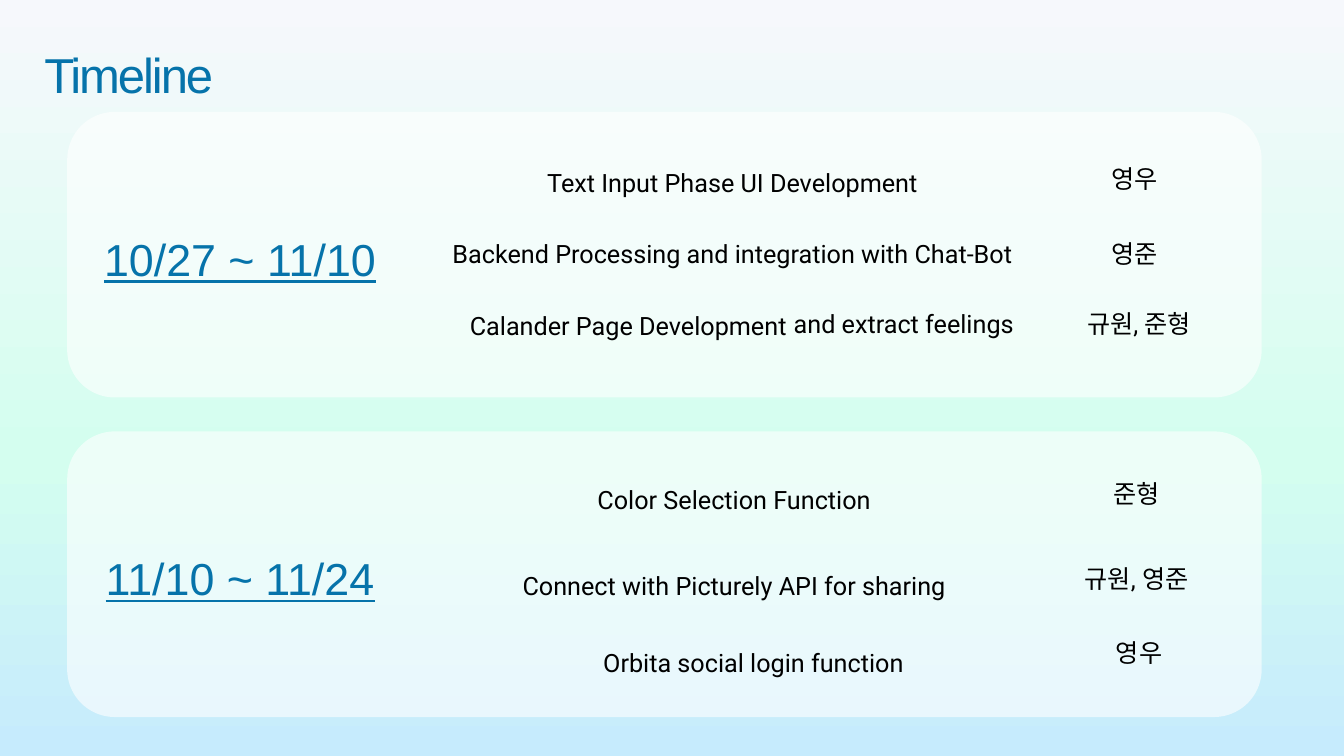
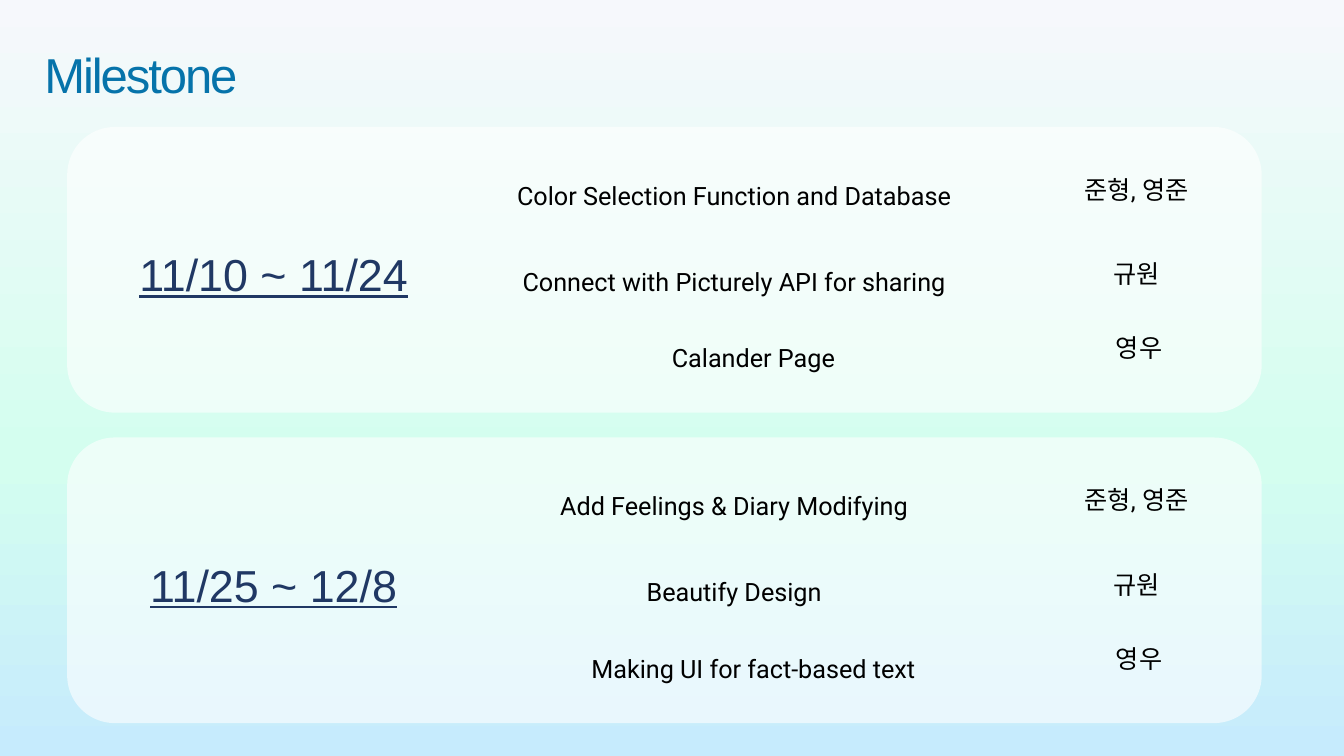
import copy
from dataclasses import dataclass

import pptx
import pptx.dml.color
import pptx.enum.shapes
import pptx.enum.text
import pptx.oxml
import pptx.oxml.ns
import pptx.util

ALIGN = pptx.enum.text.PP_ALIGN
COLUMNS, ROWS = 80, 45
BLUE, NAVY, BLACK, WHITE = "0673AA", "203864", "000000", "FFFFFF"
BACKDROP = [(0, "F6F8FC"), (0.6, "D4FEEF"), (1, "C6EBFD")]


def colour(value):
    return pptx.dml.color.RGBColor.from_string(value)


@dataclass
class Slot:
    """Place of a line of text: grid column, rows below the panel's top, columns wide."""
    left: float
    top: float
    width: float


@dataclass
class Plan:
    """Places of the tasks and owners in one panel, with the tasks' line spacing."""
    tasks: list
    owners: list
    spacing: float


TIGHT = Plan(
    [Slot(23.6, 3, 40), Slot(23.6, 7.25, 40), Slot(23.8, 11.5, 27.2), Slot(46.35, 11.4, 14.9)],
    [Slot(64.85, 2.75, 5.4), Slot(64.85, 7.25, 5.4), Slot(63.85, 11.4, 7.9)],
    1)
LOOSE = Plan(
    [Slot(23.7, 1.95, 40), Slot(23.7, 7.1, 40), Slot(24.85, 11.65, 40)],
    [Slot(63.7, 2.5, 7.9), Slot(63.7, 7.55, 7.9), Slot(63.85, 11.95, 7.9)],
    1.5)


class Board:
    """Holds the deck, its style and the current page; lengths are grid units."""

    def __init__(self):
        self.deck = pptx.Presentation()
        self.deck.slide_width = pptx.util.Inches(13.33)
        self.deck.slide_height = pptx.util.Inches(7.5)
        self.page = None
        self.paint_backdrop()

    def paint_backdrop(self):
        master = self.deck.slide_master
        fill = master.background.fill
        fill.gradient()
        fill.gradient_angle = 270
        stops = master.element.find(".//" + pptx.oxml.ns.qn("a:gsLst"))
        stops.append(copy.deepcopy(stops[-1]))
        for stop, (position, value) in zip(fill.gradient_stops, BACKDROP):
            stop.position = position
            stop.color.rgb = colour(value)

    def place(self, left, top, width, height):
        across = self.deck.slide_width / COLUMNS
        down = self.deck.slide_height / ROWS
        return [round(left * across), round(top * down), round(width * across), round(height * down)]

    def fill_text(self, box, text, size, font, value, align=ALIGN.CENTER, spacing=1):
        """Fill a box with one styled paragraph and return the box's span."""
        frame = box.text_frame
        frame.word_wrap = True
        frame.text = text
        para = frame.paragraphs[0]
        para.alignment = align
        para.line_spacing = spacing
        span = para.runs[0]
        span.font.size = pptx.util.Pt(size)
        span.font.name = font
        span.font.color.rgb = colour(value)
        return span

    def text(self, place, *style, **options):
        box = self.page.shapes.add_textbox(*self.place(*place))
        box.text_frame.auto_size = pptx.enum.text.MSO_AUTO_SIZE.SHAPE_TO_FIT_TEXT
        self.fill_text(box, *style, **options)
        return box

    def rounded(self, *place):
        box = self.page.shapes.add_shape(
            pptx.enum.shapes.MSO_SHAPE.ROUNDED_RECTANGLE, *self.place(*place))
        box.shadow.inherit = False
        box.fill.background()
        box.line.fill.background()
        return box

    def start(self, title):
        self.page = self.deck.slides.add_slide(self.deck.slide_layouts[6])
        box = self.text((2.05, 0.6, 18.2, 5.45), title, 35, "Arial", BLUE,
                        align=ALIGN.JUSTIFY, spacing=1.5)
        box.element.find(".//" + pptx.oxml.ns.qn("a:rPr")).set("spc", "-150")

    def panel(self, top):
        box = self.rounded(4, top, 71.1, 17)
        box.fill.solid()
        box.fill.fore_color.rgb = colour(WHITE)
        tint = box.element.find(".//" + pptx.oxml.ns.qn("a:srgbClr"))
        tint.append(pptx.oxml.parse_xml(
            f'<a:alpha {pptx.oxml.ns.nsdecls("a")} val="60000"/>'))

    def dates(self, left, top, text, value):
        box = self.rounded(left, top, 20.6, 6.9)
        box.text_frame.vertical_anchor = pptx.enum.text.MSO_ANCHOR.MIDDLE
        self.fill_text(box, text, 32, "Arial", value).font.underline = True

    def lines(self, top, slots, texts, spacing=1):
        height = 2.4 if spacing == 1 else 3.1
        for slot, text in zip(slots, texts):
            self.text((slot.left, top + slot.top, slot.width, height),
                      text, 18, "Roboto", BLACK, spacing=spacing)

    def period(self, top, dates_left, value, plan, dates, tasks, owners):
        """Draw one panel with its dates, tasks and owners."""
        self.panel(top)
        self.dates(dates_left, top + 5.28, dates, value)
        self.lines(top, plan.tasks, tasks, plan.spacing)
        self.lines(top, plan.owners, owners)


def main():
    board = Board()

    board.start("Timeline")
    board.period(6.66, 4, BLUE, TIGHT, "10/27 ~ 11/10",
                 ["Text Input Phase UI Development",
                  "Backend Processing and integration with Chat-Bot",
                  "Calander Page Development", "and extract feelings"],
                 ["영우", "영준", "규원, 준형"])
    board.period(25.68, 4, BLUE, LOOSE, "11/10 ~ 11/24",
                 ["Color Selection Function",
                  "Connect with Picturely API for sharing",
                  "Orbita social login function"],
                 ["준형", "규원, 영준", "영우"])

    board.start("Milestone")
    board.period(7.56, 6, NAVY, LOOSE, "11/10 ~ 11/24",
                 ["Color Selection Function and Database",
                  "Connect with Picturely API for sharing",
                  "Calander Page"],
                 ["준형, 영준", "규원", "영우"])
    board.period(26.04, 6, NAVY, LOOSE, "11/25 ~ 12/8",
                 ["Add Feelings & Diary Modifying",
                  "Beautify Design",
                  "Making UI for fact-based text"],
                 ["준형, 영준", "규원", "영우"])

    board.deck.save("out.pptx")


if __name__ == "__main__":
    main()
